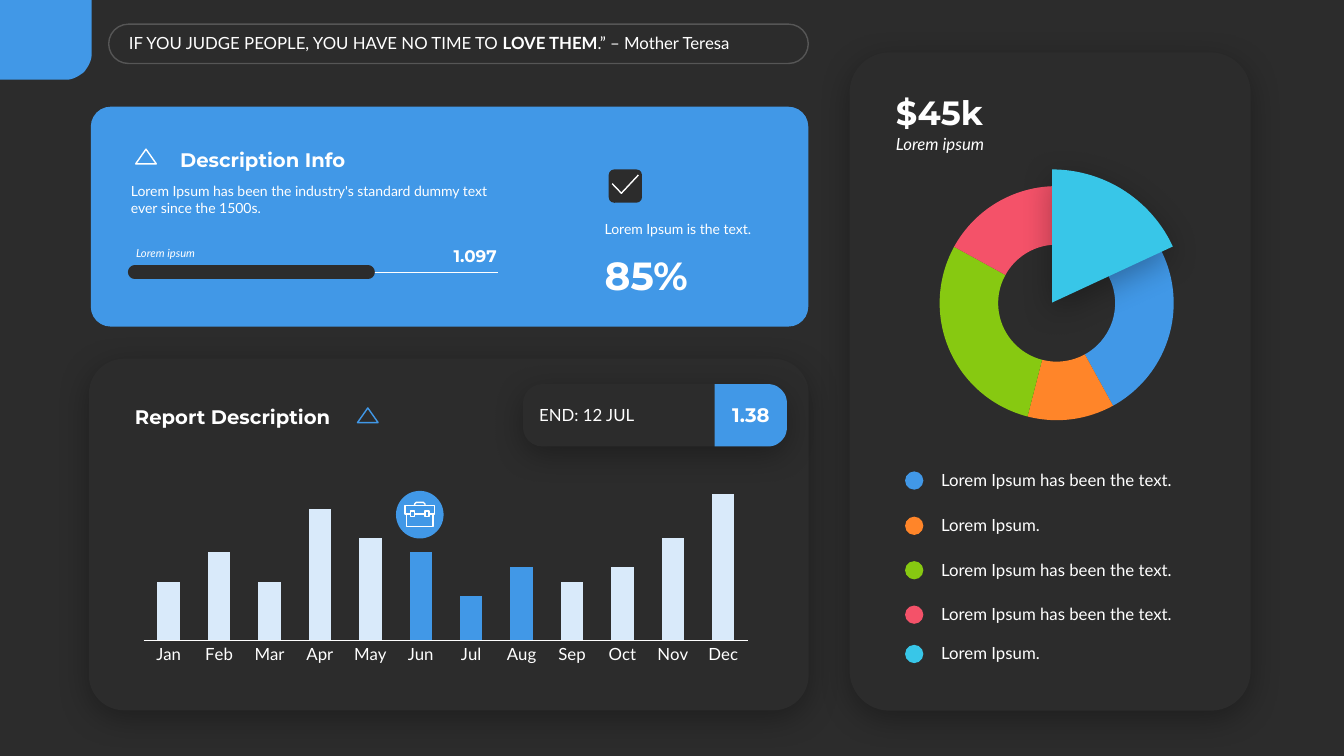
from dataclasses import dataclass
from math import cos, radians, sin

from lxml import etree
from pptx import Presentation
from pptx import util as u
from pptx.chart.data import CategoryChartData
from pptx.dml.color import RGBColor
from pptx.enum import chart as charts, shapes, text
from pptx.oxml.ns import qn


@dataclass(frozen=True)
class Theme:
    dark: RGBColor = RGBColor.from_string("2C2C2C")
    white: RGBColor = RGBColor.from_string("FFFFFF")
    blue: RGBColor = RGBColor.from_string("4198E7")
    pale: RGBColor = RGBColor.from_string("D9EAFA")
    orange: RGBColor = RGBColor.from_string("FF8529")
    green: RGBColor = RGBColor.from_string("87C911")
    red: RGBColor = RGBColor.from_string("F45269")
    cyan: RGBColor = RGBColor.from_string("38C6E8")
    body: str = "Lato"
    display: str = "Montserrat"
    tiny: int = 8
    small: int = 10
    medium: int = 12
    heading: int = 14
    large: int = 24
    huge: int = 28


theme = Theme()
kind = shapes.MSO_SHAPE
anchor = text.MSO_ANCHOR

deck = Presentation()
deck.slide_width, deck.slide_height = u.Cm(33.87), u.Cm(19.05)
page = deck.slides.add_slide(deck.slide_layouts[6])
page.background.fill.solid()
page.background.fill.fore_color.rgb = theme.dark


def add_text(words, left, top, width, height, size=theme.medium, font=theme.body,
             bold=False, italic=False, align=text.PP_ALIGN.LEFT, place=anchor.MIDDLE,
             margins=(0.25, 0.25), after=0):
    box = page.shapes.add_textbox(u.Cm(left), u.Cm(top), u.Cm(width), u.Cm(height))
    frame = box.text_frame
    frame.word_wrap = True
    frame.auto_size = text.MSO_AUTO_SIZE.SHAPE_TO_FIT_TEXT
    frame.vertical_anchor = place
    frame.margin_left, frame.margin_right = (u.Cm(margin) for margin in margins)
    para = frame.paragraphs[0]
    para.alignment = align
    para.space_after = u.Pt(after)
    for index, part in enumerate(words.split("**")):
        span = para.add_run()
        span.text = part
        span.font.name, span.font.size = font, u.Pt(size)
        span.font.bold, span.font.italic = bold or index % 2 == 1, italic
        span.font.color.rgb = theme.white


def add_figure(preset, left, top, width, height, fill=None, line=None, adjust=(), shadow=False):
    figure = page.shapes.add_shape(preset, u.Cm(left), u.Cm(top), u.Cm(width), u.Cm(height))
    for index, value in enumerate(adjust):
        figure.adjustments[index] = value
    if fill is None:
        figure.fill.background()
    else:
        figure.fill.solid()
        figure.fill.fore_color.rgb = fill
    if line is None:
        figure.line.fill.background()
    else:
        figure.line.color.rgb = line
        figure.line.width = u.Pt(1)
    figure.shadow.inherit = False
    if shadow:
        effects = figure.element.spPr.find(qn("a:effectLst"))
        outer = etree.SubElement(effects, qn("a:outerShdw"), blurRad=str(u.Pt(23)),
                                 dist=str(u.Pt(6)), dir="5400000", algn="t", rotWithShape="0")
        color = etree.SubElement(outer, qn("a:srgbClr"), val="000000")
        etree.SubElement(color, qn("a:alpha"), val="30000")
    return figure


quote = add_figure(kind.ROUNDED_RECTANGLE, 2.74, 0.61, 17.63, 0.99, line=theme.white, adjust=[0.5])
quote_color = quote.element.spPr.find(qn("a:ln")).find(".//" + qn("a:srgbClr"))
etree.SubElement(quote_color, qn("a:alpha"), val="20000")
add_figure(kind.ROUNDED_RECTANGLE, 2.29, 2.69, 18.08, 5.54, theme.blue, adjust=[0.09])
add_figure(kind.ROUNDED_RECTANGLE, 15.34, 4.27, 0.84, 0.84, theme.dark)
for left, top, width, height, corner in (
    (2.24, 9.04, 18.14, 8.86, 0.1), (13.18, 9.68, 6.63, 1.57, 0.31), (21.41, 1.32, 10.11, 16.59, 0.1),
):
    add_figure(kind.ROUNDED_RECTANGLE, left, top, width, height, theme.dark, adjust=[corner], shadow=True)
for left, top, color in ((3.42, 3.76, theme.white), (9.01, 10.28, theme.blue)):
    add_figure(kind.ISOSCELES_TRIANGLE, left, top, 0.52, 0.37, line=color)

for end, color, weight, cap in ((12.55, theme.white, 0.5, "flat"), (9.27, theme.dark, 10, "rnd")):
    bar = page.shapes.add_connector(shapes.MSO_CONNECTOR.STRAIGHT,
                                    u.Cm(3.4), u.Cm(6.86), u.Cm(end), u.Cm(6.86))
    bar.line.color.rgb, bar.line.width = color, u.Pt(weight)
    bar.element.spPr.find(qn("a:ln")).set("cap", cap)
    etree.SubElement(bar.element.spPr, qn("a:effectLst"))

months = CategoryChartData()
months.categories = "Jan Feb Mar Apr May Jun Jul Aug Sep Oct Nov Dec".split()
months.add_series("Series 1", [40, 60, 40, 90, 70, 60, 30, 50, 40, 50, 70, 100])
shares = CategoryChartData()
shares.categories = ["1", "2", "3", "4"]
shares.add_series("Series 1", [42, 12, 29, 17])

columns = page.shapes.add_chart(charts.XL_CHART_TYPE.COLUMN_CLUSTERED, u.Cm(3.3), u.Cm(11.61),
                                u.Cm(15.88), u.Cm(5.23), months).chart
ring = page.shapes.add_chart(charts.XL_CHART_TYPE.DOUGHNUT, u.Cm(22.5), u.Cm(4.34),
                             u.Cm(8.26), u.Cm(6.6), shares).chart
column_colors = [theme.blue if month in (5, 6, 7) else theme.pale for month in range(12)]
ring_colors = [theme.blue, theme.orange, theme.green, theme.red]
for graph, size, colors in ((columns, theme.medium, column_colors), (ring, theme.small, ring_colors)):
    graph.has_legend = graph.has_title = False
    graph.font.name, graph.font.size = theme.body, u.Pt(size)
    graph.font.color.rgb = theme.white
    for index, color in enumerate(colors):
        point = graph.plots[0].series[0].points[index]
        point.format.fill.solid()
        point.format.fill.fore_color.rgb = color
        point.format.line.fill.background()

plot = columns.plots[0]
plot.gap_width, plot.overlap, plot.vary_by_categories = 125, -27, False
month_axis, value_axis = columns.category_axis, columns.value_axis
month_axis.major_tick_mark = charts.XL_TICK_MARK.NONE
month_axis.format.line.color.rgb, month_axis.format.line.width = theme.white, u.Pt(0.75)
value_axis.visible = value_axis.has_major_gridlines = False
value_axis.minimum_scale, value_axis.maximum_scale = 0, 120

add_figure(kind.ARC, 23.16, 4.27, 6.71, 6.71, theme.cyan, adjust=[162, 201.05], shadow=True)
add_figure(kind.OVAL, 9.98, 12.37, 1.2, 1.2, theme.blue)

corner_tab = [(0, 0), (231, 0)]
corner_tab += [(163 + 68 * cos(radians(a)), 133 + 68 * sin(radians(a))) for a in range(0, 91, 6)]
corner_tab += [(0, 201)]
badge = [(1801, 968)]
for center, start in ((1016, -90), (1077, 0)):
    badge += [(1935 + 48 * cos(radians(a)), center + 48 * sin(radians(a)))
              for a in range(start, start + 91, 6)]
badge += [(1801, 1125)]
check = [(1543, 463), (1566, 487), (1609, 441)]
briefcase = [
    [(1035, 1295), (1021, 1295), (1021, 1274), (1095, 1274), (1095, 1295), (1081, 1295)],
    [(1045, 1295), (1071, 1295)],
    [(1025, 1295), (1025, 1327), (1091, 1327), (1091, 1295)],
    [(1045, 1274), (1045, 1270), (1049, 1266), (1067, 1266), (1071, 1270), (1071, 1274)],
]
briefcase += [[(x, 1288), (x + 10, 1288), (x + 10, 1302), (x, 1302), (x, 1288)] for x in (1035, 1071)]
for contours, filled in (([corner_tab], True), ([badge], True), ([check], False), (briefcase, False)):
    builder = page.shapes.build_freeform(*contours[0][0], scale=u.Cm(0.01))
    for index, contour in enumerate(contours):
        if index:
            builder.move_to(*contour[0])
        builder.add_line_segments(contour[1:], close=filled)
    outline = builder.convert_to_shape()
    outline.shadow.inherit = False
    if filled:
        outline.fill.solid()
        outline.fill.fore_color.rgb = theme.blue
        outline.line.fill.background()
    else:
        outline.fill.background()
        outline.line.color.rgb, outline.line.width = theme.white, u.Pt(1)

title = dict(font=theme.display, bold=True)
add_text("IF YOU JUDGE PEOPLE, YOU HAVE NO TIME TO **LOVE THEM**.” – Mother Teresa",
         3.15, 0.71, 16.64, 0.76, margins=(0.1, 0.1))
add_text("Description Info", 4.29, 3.58, 8.86, 0.86, theme.heading, place=anchor.BOTTOM, **title)
add_text("Lorem Ipsum has been the industry's standard dummy text ever since the 1500s.",
         3.05, 4.47, 10.11, 1.12, theme.small, place=anchor.TOP)
add_text("Lorem ipsum", 3.23, 6.07, 4.88, 0.61, theme.tiny, italic=True,
         place=anchor.BOTTOM, margins=(0.2, 0.25))
add_text("1.097", 10.97, 6.07, 1.65, 0.76, align=text.PP_ALIGN.RIGHT,
         place=anchor.BOTTOM, margins=(0.25, 0.1), **title)
add_text("Lorem Ipsum is the text.", 14.99, 5.41, 4.78, 0.69, theme.small, place=anchor.BOTTOM)
add_text("85%", 14.99, 6.2, 4.78, 1.45, theme.huge, place=anchor.TOP, **title)
add_text("Report Description", 3.15, 10.06, 8.94, 0.86, theme.heading, **title)
add_text("END: 12 JUL", 13.34, 10.08, 4.83, 0.76)
add_text("1.38", 18.01, 10.03, 1.83, 0.86, theme.heading, align=text.PP_ALIGN.CENTER,
         margins=(0.1, 0.1), **title)
add_text("$45k", 22.33, 2.18, 8.43, 1.27, theme.large, place=anchor.BOTTOM,
         margins=(0.25, 0.2), after=6, **title)
add_text("Lorem ipsum", 22.33, 3.25, 8.43, 0.76, italic=True, place=anchor.TOP,
         margins=(0.25, 0.2), after=6)

long_label, short_label = "Lorem Ipsum has been the text.", "Lorem Ipsum."
for top, color, label in (
    (11.71, theme.blue, long_label), (12.85, theme.orange, short_label), (13.97, theme.green, long_label),
    (15.09, theme.red, long_label), (16.08, theme.cyan, short_label),
):
    add_figure(kind.OVAL, 22.81, top + 0.17, 0.46, 0.46, color)
    add_text(label, 23.47, top, 6.93, 0.76)

deck.save("out.pptx")
